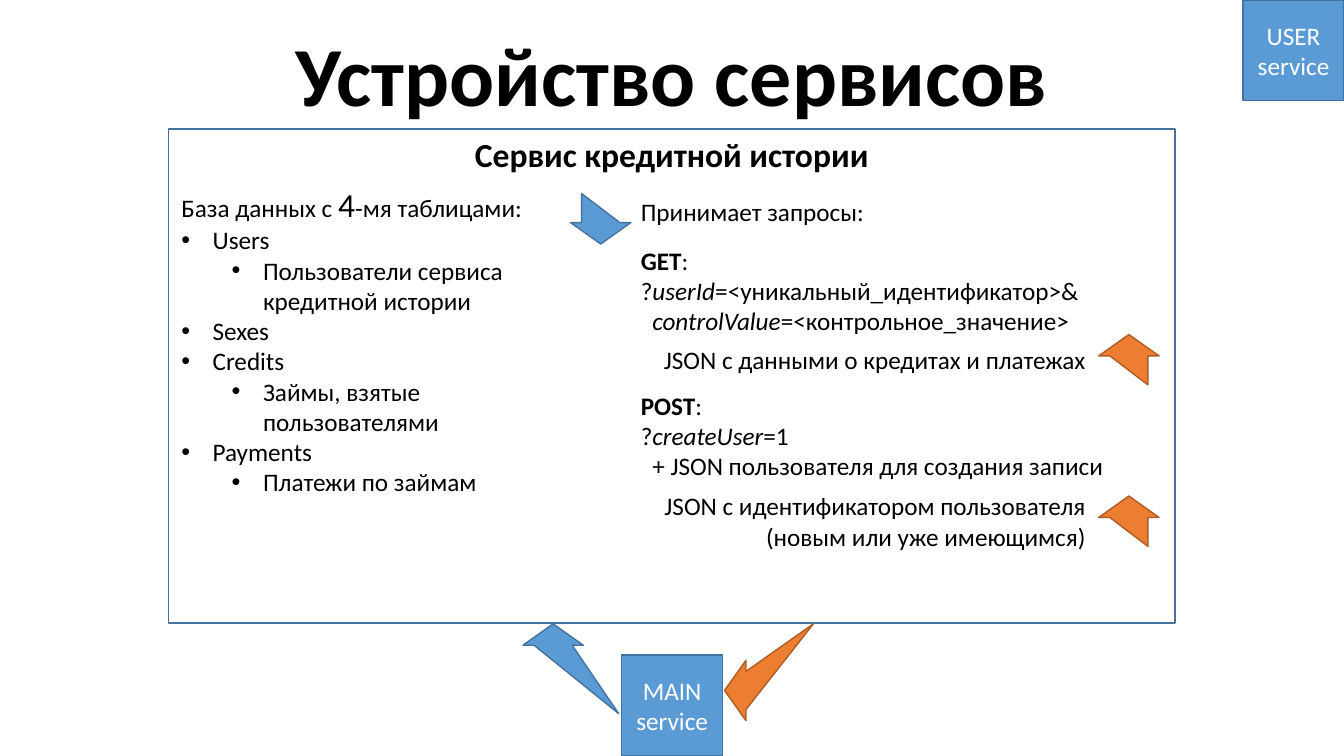
from dataclasses import dataclass

from lxml import etree
from pptx import Presentation
from pptx import util as u
from pptx.dml.color import RGBColor
from pptx.enum import shapes, text
from pptx.oxml.ns import qn


@dataclass(frozen=True)
class Theme:
    font: str = "Calibri"
    title: int = 60
    heading: int = 24
    body: int = 18
    black: str = "000000"
    white: str = "FFFFFF"
    blue: str = "5B9BD5"
    blue_line: str = "43739E"
    orange: str = "ED7D31"
    orange_line: str = "AF5C24"


T = Theme()
LEFT, CENTER, RIGHT = text.PP_ALIGN.LEFT, text.PP_ALIGN.CENTER, text.PP_ALIGN.RIGHT

# Text content: a run is (text, style); a paragraph is (runs, left indent in cm, bulleted)
TABLES = [
    ("Users", "Пользователи сервиса кредитной истории"),
    ("Sexes", None),
    ("Credits", "Займы, взятые пользователями"),
    ("Payments", "Платежи по займам"),
]
GET = [
    ([("GET", "b"), (":", "")], 0, False),
    ([("?", ""), ("userId", "i"), ("=<уникальный_идентификатор>&", "")], 0, False),
    ([("controlValue", "i"), ("=<контрольное_значение>", "")], 0.29, False),
]
POST = [
    ([("POST", "b"), (":", "")], 0, False),
    ([("?", ""), ("createUser", "i"), ("=1", "")], 0, False),
    ([("+ JSON пользователя для создания записи", "")], 0.29, False),
]


def plain(*lines, style=""):
    return [([(line, style)], 0, False) for line in lines]


def database_lines():
    lines = [([("База данных с ", ""), ("4", "large"), ("-мя таблицами:", "")], 0, False)]
    for name, meaning in TABLES:
        lines.append(([(name, "")], 0.79, True))
        if meaning:
            lines.append(([(meaning, "")], 2.06, True))
    return lines


def place(sp, box):
    sp.left, sp.top, sp.width, sp.height = (u.Cm(v) for v in box)


def paint(sp, fill, line):
    sp.shadow.inherit = False
    sp.fill.solid()
    sp.fill.fore_color.rgb = RGBColor.from_string(fill)
    sp.line.color.rgb = RGBColor.from_string(line)
    sp.line.width = u.Pt(1)


def indent(p, left, bulleted):
    pPr = p._p.get_or_add_pPr()
    pPr.set("marL", str(u.Cm(left)))
    if bulleted:
        pPr.set("indent", str(-u.Cm(0.79)))
        etree.SubElement(pPr, qn("a:buFont")).set("typeface", "Arial")
        etree.SubElement(pPr, qn("a:buChar")).set("char", "•")


def write(tf, lines, size=T.body, color=T.black, align=LEFT):
    for n, (runs, left, bulleted) in enumerate(lines):
        p = tf.add_paragraph() if n else tf.paragraphs[0]
        p.alignment = align
        if left:
            indent(p, left, bulleted)
        for words, style in runs:
            r = p.add_run()
            r.text = words
            r.font.name = T.font
            r.font.size = u.Pt(T.heading if style == "large" else size)
            r.font.bold = style == "b"
            r.font.italic = style == "i"
            r.font.color.rgb = RGBColor.from_string(color)


def add_title(s, words):
    sp = s.shapes.title
    place(sp, (2.54, 0.43, 28.78, 2.82))
    tf = sp.text_frame
    tf.vertical_anchor = text.MSO_ANCHOR.MIDDLE
    tf.auto_size = text.MSO_AUTO_SIZE.SHAPE_TO_FIT_TEXT
    write(tf, plain(words, style="b"), T.title, align=CENTER)


def add_text(s, box, lines, wrap=True, **style):
    tf = s.shapes.add_textbox(*(u.Cm(v) for v in box)).text_frame
    tf.word_wrap = wrap
    tf.auto_size = text.MSO_AUTO_SIZE.SHAPE_TO_FIT_TEXT
    write(tf, lines, **style)


def add_box(s, box, fill):
    sp = s.shapes.add_shape(shapes.MSO_SHAPE.RECTANGLE, *(u.Cm(v) for v in box))
    paint(sp, fill, T.blue_line)
    return sp


def add_service(s, left, top, name):
    tf = add_box(s, (left, top, 2.54, 2.54), T.blue).text_frame
    tf.word_wrap = True
    tf.vertical_anchor = text.MSO_ANCHOR.MIDDLE
    write(tf, plain(name, "service"), color=T.white, align=CENTER)


def add_arrow(s, tip, back, fill, line, tail=(1.27, 0.48)):
    """Arrow whose body runs from the tip along `back` and tapers to the tail point."""
    outline = [(0, 0), (0.54, -0.76), (0.54, -0.48), tail, (0.54, 0.48), (0.54, 0.76)]
    (x, y), (bx, by) = tip, back
    points = [(u.Cm(x + along * bx + across * by), u.Cm(y + along * by - across * bx))
              for along, across in outline]
    builder = s.shapes.build_freeform(*points[0])
    builder.add_line_segments(points[1:], close=True)
    paint(builder.convert_to_shape(), fill, line)


def main():
    prs = Presentation()
    prs.slide_width, prs.slide_height = u.Cm(33.87), u.Cm(19.05)
    s = prs.slides.add_slide(prs.slide_layouts[5])

    # Frame and headings
    add_box(s, (4.24, 3.25, 25.37, 12.45), T.white)
    add_title(s, "Устройство сервисов")
    add_text(s, (11.66, 3.25, 10.54, 1.27), plain("Сервис кредитной истории", style="b"),
             wrap=False, size=T.heading, align=CENTER)

    # Database tables
    add_text(s, (4.32, 4.52, 9.68, 8.2), database_lines())

    # Requests
    column = 15.9
    add_text(s, (column, 4.83, 6.2, 1.02), plain("Принимает запросы:"), wrap=False)
    add_text(s, (column, 6.05, 11.71, 2.57), GET, wrap=False)
    add_text(s, (column, 9.7, 12.29, 2.57), POST, wrap=False)

    # Responses
    add_text(s, (column, 8.56, 11.71, 1.02),
             plain("JSON с данными о кредитах и платежах"), align=RIGHT)
    add_text(s, (column, 12.24, 11.71, 1.8),
             plain("JSON с идентификатором пользователя", "(новым или уже имеющимся)"),
             align=RIGHT)

    # Arrows: blue for requests, orange for responses
    request, response = (T.blue, T.blue_line), (T.orange, T.orange_line)
    up, down, left = (0, 1), (0, -1), (1, 0)
    add_arrow(s, (15.14, 6.15), down, *request)
    for top in (8.43, 12.5):
        add_arrow(s, (28.45, top), up, *response)
    add_arrow(s, (13.94, 15.72), up, *request, tail=(2.26, 1.65))
    add_arrow(s, (18.26, 17.4), left, *response, tail=(2.24, 1.68))

    # Neighbouring services
    add_service(s, 31.33, 0, "USER")
    add_service(s, 15.67, 16.51, "MAIN")

    prs.save("out.pptx")


if __name__ == "__main__":
    main()
